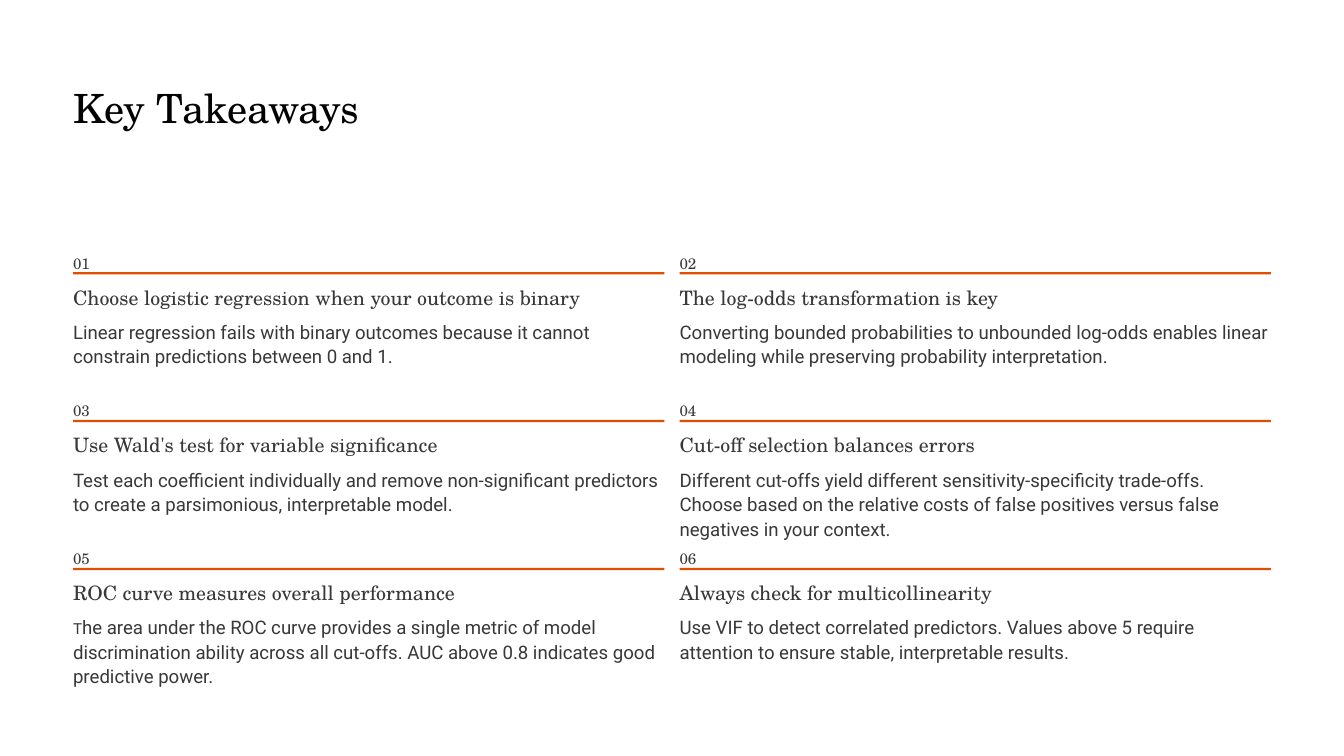
from pptx import Presentation
from pptx import util as u
from pptx.dml.color import RGBColor
from pptx.enum import shapes, text

SERIF, SANS = "TeX Gyre Schola", "Roboto"
INK, RULE = "383838", "E04F00"
STYLES = {
    "title": dict(name=SERIF, size=34.5, color="020202", line=43.5, wrap=False),
    "num": dict(name=SERIF, size=13, color=INK, line=21, wrap=False),
    "head": dict(name=SERIF, size=17, color=INK, line=21.5, wrap=False),
    "body": dict(name=SANS, size=16, color=INK, line=21, wrap=True),
}
POINTS = [
    ("Choose logistic regression when your outcome is binary", 15.19,
     ["Linear regression fails with binary outcomes because it cannot "
      "constrain predictions between 0 and 1."]),
    ("The log-odds transformation is key", 9.55,
     ["Converting bounded probabilities to unbounded log-odds enables linear "
      "modeling while preserving probability interpretation."]),
    ("Use Wald's test for variable significance", 10.74,
     ["Test each coefficient individually and remove non-significant predictors "
      "to create a parsimonious, interpretable model."]),
    ("Cut-off selection balances errors", 8.89,
     ["Different cut-offs yield different sensitivity-specificity trade-offs. "
      "Choose based on the relative costs of false positives versus false "
      "negatives in your context."]),
    ("ROC curve measures overall performance", 11.2,
     [("T", 13),
      "he area under the ROC curve provides a single metric of model "
      "discrimination ability across all cut-offs. AUC above 0.8 indicates good "
      "predictive power."]),
    ("Always check for multicollinearity", 9.32,
     ["Use VIF to detect correlated predictors. Values above 5 require "
      "attention to ensure stable, interpretable results."]),
]


def paint(fill, color):
    """Give a fill one solid colour."""
    fill.solid()
    fill.fore_color.rgb = RGBColor.from_string(color)


def write(shape, runs, style):
    """Fill a shape with runs of text in a named style."""
    fmt = STYLES[style]
    frame = shape.text_frame
    values = dict(margin_left=0, margin_right=0, margin_top=0, margin_bottom=0,
                  auto_size=text.MSO_AUTO_SIZE.NONE, word_wrap=fmt["wrap"],
                  vertical_anchor=text.MSO_ANCHOR.TOP)
    for key, value in values.items():
        setattr(frame, key, value)
    para = frame.paragraphs[0]
    para.alignment = text.PP_ALIGN.LEFT
    para.line_spacing = u.Pt(fmt["line"])
    for item in runs:
        words, size = item if isinstance(item, tuple) else (item, fmt["size"])
        run = para.add_run()
        run.text = words
        run.font.name = fmt["name"]
        run.font.size = u.Pt(size)
        paint(run.font.fill, fmt["color"])


def label(slide, box, runs, style):
    """Add a text box, given in centimetres."""
    write(slide.shapes.add_textbox(*map(u.Cm, box)), runs, style)


def title(slide, box, words):
    """Place and format the slide title."""
    shape = slide.shapes.title
    for key, value in zip(("left", "top", "width", "height"), box):
        setattr(shape, key, u.Cm(value))
    write(shape, [words], "title")


def point(slide, box, num, head, span, body):
    """Draw one numbered takeaway with its rule, heading and body."""
    left, top, width = box
    label(slide, (left, top, 0.46, 0.58), [f"{num:02}"], "num")
    rule = slide.shapes.add_shape(shapes.MSO_SHAPE.RECTANGLE, u.Cm(left),
                                  u.Cm(top + 0.74), u.Cm(width), u.Cm(0.07))
    rule.shadow.inherit = False
    paint(rule.fill, RULE)
    rule.line.fill.background()
    label(slide, (left, top + 1.1, span, 0.76), [head], "head")
    label(slide, (left, top + 2.14, width, 1.5), body, "body")


def grid(slide, box, gap, pitch):
    """Lay the takeaways out in two columns."""
    left, top, width = box
    wide = (width - gap) / 2
    for i, (head, span, body) in enumerate(POINTS):
        row, col = divmod(i, 2)
        spot = (left + col * (wide + gap), top + row * pitch, wide)
        point(slide, spot, i + 1, head, span, body)


def main():
    """Build and save the slide."""
    deck = Presentation()
    deck.slide_width, deck.slide_height = u.Cm(40.64), u.Cm(22.86)
    slide = deck.slides.add_slide(deck.slide_layouts[5])
    paint(slide.background.fill, "FFFFFF")
    title(slide, (2.21, 2.44, 12.29, 1.55), "Key Takeaways")
    grid(slide, (2.21, 7.49, 36.22), 0.46, 4.47)
    deck.save("out.pptx")


if __name__ == "__main__":
    main()
